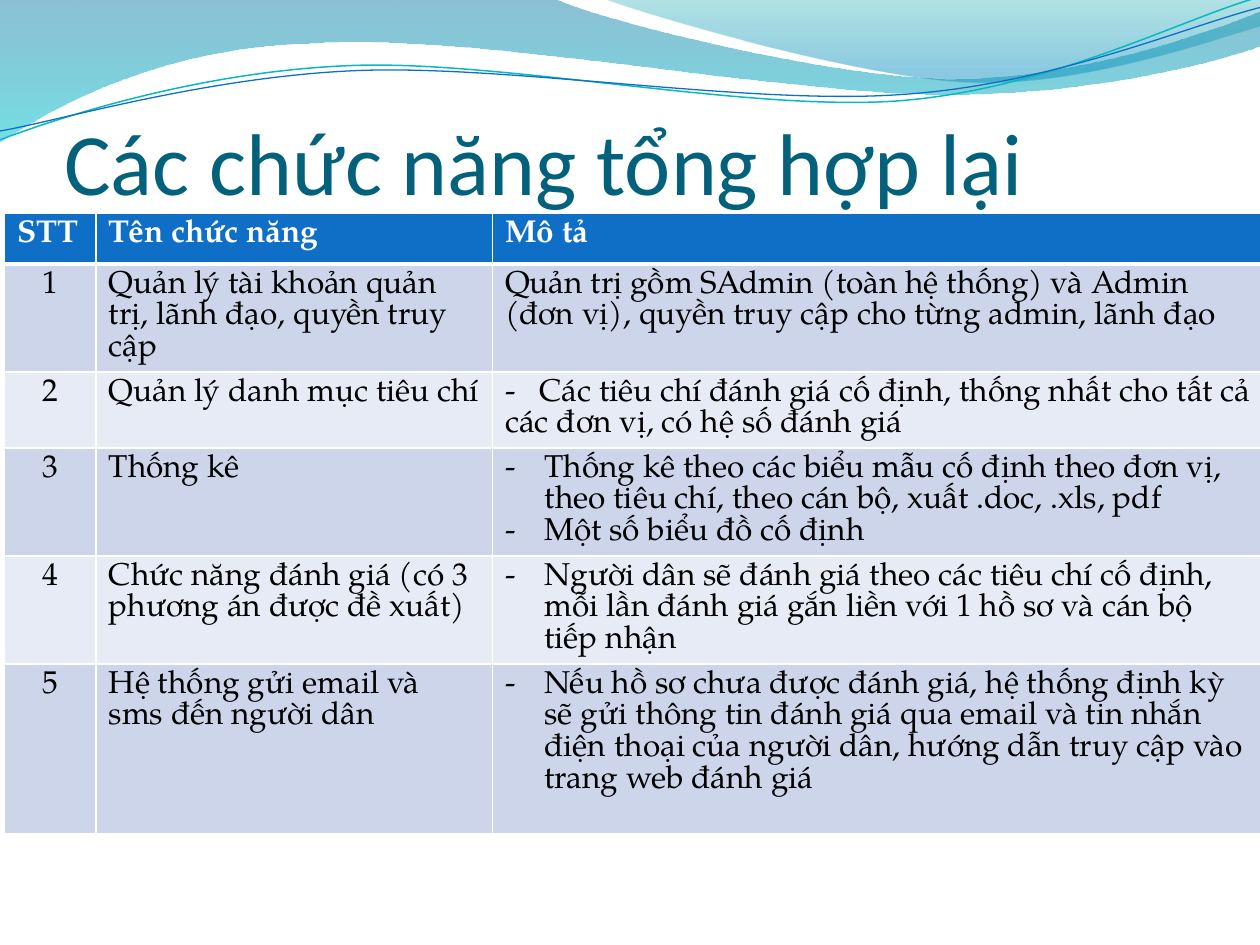
from lxml.etree import SubElement
from pptx import Presentation
from pptx.dml.color import RGBColor
from pptx.enum.text import MSO_ANCHOR, MSO_AUTO_SIZE, PP_ALIGN
from pptx.oxml.ns import qn
from pptx.util import Pt

COLORS = {
    "title": "04617B", "header": "0F6FC6", "odd": "CCD5EA", "even": "E7EBF5",
    "white": "FFFFFF", "black": "000000", "teal": "0AB8BF", "blue": "0F6FC6",
    "wave_top": "0074A1", "wave_bottom": "00C6CF",
    "crest_top": "00A1A9", "crest_bottom": "008BBF",
}
BODY_FONT = "TeX Gyre Pagella"
COLUMN_WIDTHS = [52.4, 226.5, 441.1]
ROW_HEIGHTS = [28.9, 61.7, 42.9, 61.7, 61.7, 97.2]
HEADERS = ["STT", "Tên chức năng", "Mô tả"]
FUNCTIONS = [
    ("Quản lý tài khoản quản trị, lãnh đạo, quyền truy cập", "plain",
     ["Quản trị gồm SAdmin (toàn hệ thống) và Admin (đơn vị), quyền truy cập cho từng admin, lãnh đạo"]),
    ("Quản lý danh mục tiêu chí", "tab",
     ["-\tCác tiêu chí đánh giá cố định, thống nhất cho tất cả các đơn vị, có hệ số đánh giá"]),
    ("Thống kê", "bullet",
     ["Thống kê theo các biểu mẫu cố định theo đơn vị, theo tiêu chí, theo cán bộ, xuất .doc, .xls, pdf",
      "Một số biểu đồ cố định"]),
    ("Chức năng đánh giá (có 3 phương án được đề xuất)", "bullet",
     ["Người dân sẽ đánh giá theo các tiêu chí cố định, mỗi lần đánh giá gắn liền với 1 hồ sơ và cán bộ tiếp nhận"]),
    ("Hệ thống gửi email và sms đến người dân", "bullet",
     ["Nếu hồ sơ chưa được đánh giá, hệ thống định kỳ sẽ gửi thông tin đánh giá qua email và tin nhắn "
      "điện thoại của người dân, hướng dẫn truy cập vào trang web đánh giá"]),
]
WAVE = [(0, 0), (317, -0.7), (343, 12, 478, 45, 546, 45), (614, 45, 690, 19, 720, 6.5),
        (720.7, 26), (708, 32, 626, 55, 537, 54), (448, 54, 275, 20, 185, 24.5),
        (93, 26, 33, 60, -0.7, 81.4)]
CREST = [(345, -0.7), (367, 8, 491, 44.6, 554, 47), (616, 49.7, 692, 23, 720, 15), (720, 0)]
TEAL_LINE = [(-1.4, 62.9), (33.7, 51.6, 114, 29.4, 199.8, 30), (284.8, 30.3, 425.8, 67.2, 512.4, 64.9),
             (599, 62.4, 676.4, 25.7, 720.2, 15.6)]
BLUE_LINE = [(-1.2, 57.9), (33, 53.7, 118.3, 32.5, 204, 33), (290.5, 33.5, 428.9, 63.8, 515.5, 61.3),
             (601.3, 59.6, 678.5, 30.1, 721.4, 21.3)]
LINE_ROTATION = 357.3


def rgb(name):
    """Return the named colour."""
    return RGBColor.from_string(COLORS[name])


def add_outline(slide, segments, close):
    """Draw an outline of straight (x, y) and cubic six-number segments."""
    vertices = [(Pt(segment[i]), Pt(segment[i + 1])) for segment in segments for i in range(0, len(segment), 2)]
    builder = slide.shapes.build_freeform(*vertices[0])
    builder.add_line_segments(vertices[1:], close=close)
    shape = builder.convert_to_shape()
    shape.shadow.inherit = False
    steps = iter(list(shape.element.iter(qn("a:lnTo"))))
    for segment in segments[1:]:
        step = next(steps)
        if len(segment) == 6:
            step.tag = qn("a:cubicBezTo")
            for following in (next(steps), next(steps)):
                step.append(following[0])
                following.getparent().remove(following)
    return shape


def add_wave(slide, segments, stops):
    """Add a wave filled with a translucent vertical gradient."""
    shape = add_outline(slide, segments, True)
    shape.line.fill.background()
    shape.fill.gradient()
    shape.fill.gradient_angle = 270
    for stop, (position, color, _) in zip(shape.fill.gradient_stops, stops):
        stop.position = position
        stop.color.rgb = rgb(color)
    for element, (_, _, opacity) in zip(shape.element.iter(qn("a:srgbClr")), stops):
        SubElement(element, qn("a:alpha"), val=str(opacity * 1000))


def add_wave_line(slide, segments, color, width):
    """Add a thin, slightly tilted curved line."""
    shape = add_outline(slide, segments, False)
    shape.rotation = LINE_ROTATION
    shape.fill.background()
    shape.line.color.rgb = rgb(color)
    shape.line.width = Pt(width)


def set_title(slide, text):
    """Place the title in front of the waves."""
    title = slide.shapes.title
    title.element.getparent().append(title.element)
    title.left, title.top, title.width, title.height = Pt(36.7), Pt(31.7), Pt(648), Pt(90)
    frame = title.text_frame
    frame.text = text
    frame.auto_size = MSO_AUTO_SIZE.NONE
    frame.vertical_anchor = MSO_ANCHOR.BOTTOM
    frame.margin_left = frame.margin_right = frame.margin_bottom = 0
    frame.margin_top = Pt(3.6)
    paragraph = frame.paragraphs[0]
    paragraph.alignment = PP_ALIGN.LEFT
    paragraph.font.name = "Calibri"
    paragraph.font.size = Pt(50)
    paragraph.font.color.rgb = rgb("title")


def format_list(paragraph, style):
    """Give a paragraph a dash bullet or a tab stop."""
    properties = paragraph._p.get_or_add_pPr()
    if style == "bullet":
        properties.set("marL", str(Pt(22.5)))
        properties.set("indent", str(Pt(-22.5)))
        SubElement(properties, qn("a:buFont"), typeface=BODY_FONT)
        SubElement(properties, qn("a:buChar"), char="-")
    elif style == "tab":
        tabs = SubElement(properties, qn("a:tabLst"))
        SubElement(tabs, qn("a:tab"), pos=str(Pt(19.5)), algn="l")


def set_borders(cell, top, bottom):
    """Draw white borders around a cell."""
    properties = cell._tc.get_or_add_tcPr()
    for side, width in (("L", 1), ("R", 1), ("T", top), ("B", bottom)):
        line = SubElement(properties, qn(f"a:ln{side}"), w=str(Pt(width)))
        fill = SubElement(line, qn("a:solidFill"))
        SubElement(fill, qn("a:srgbClr"), val=COLORS["white"])


def fill_cell(cell, lines, row, style="plain", alignment=PP_ALIGN.LEFT):
    """Write and format one table cell."""
    header = row == 0
    set_borders(cell, 3 if row == 1 else 1, 3 if header else 1)
    cell.fill.solid()
    cell.fill.fore_color.rgb = rgb("header" if header else "odd" if row % 2 else "even")
    cell.text = "\n".join(lines)
    for paragraph in cell.text_frame.paragraphs:
        paragraph.alignment = alignment
        paragraph.font.name = BODY_FONT
        paragraph.font.size = Pt(18)
        paragraph.font.bold = header
        paragraph.font.color.rgb = rgb("white" if header else "black")
        format_list(paragraph, style)


def add_function_table(slide):
    """Add the table of system functions."""
    table = slide.shapes.add_table(len(ROW_HEIGHTS), len(COLUMN_WIDTHS), Pt(2.6), Pt(122),
                                   Pt(sum(COLUMN_WIDTHS)), Pt(sum(ROW_HEIGHTS))).table
    for column, width in zip(table.columns, COLUMN_WIDTHS):
        column.width = Pt(width)
    for row, height in zip(table.rows, ROW_HEIGHTS):
        row.height = Pt(height)
    for column, text in enumerate(HEADERS):
        fill_cell(table.cell(0, column), [text], 0)
    for row, (name, style, description) in enumerate(FUNCTIONS, 1):
        fill_cell(table.cell(row, 0), [str(row)], row, alignment=PP_ALIGN.CENTER)
        fill_cell(table.cell(row, 1), [name], row)
        fill_cell(table.cell(row, 2), description, row, style)


def main():
    """Build and save the presentation."""
    presentation = Presentation()
    presentation.slide_width, presentation.slide_height = Pt(720), Pt(540)
    slide = presentation.slides.add_slide(presentation.slide_layouts[5])
    add_wave(slide, WAVE, [(0, "wave_top", 45), (1, "wave_bottom", 55)])
    add_wave(slide, CREST, [(0, "crest_top", 30), (0.8, "crest_bottom", 45)])
    add_wave_line(slide, TEAL_LINE, "teal", 0.85)
    add_wave_line(slide, BLUE_LINE, "blue", 0.75)
    set_title(slide, "Các chức năng tổng hợp lại")
    add_function_table(slide)
    presentation.save("out.pptx")


if __name__ == "__main__":
    main()
